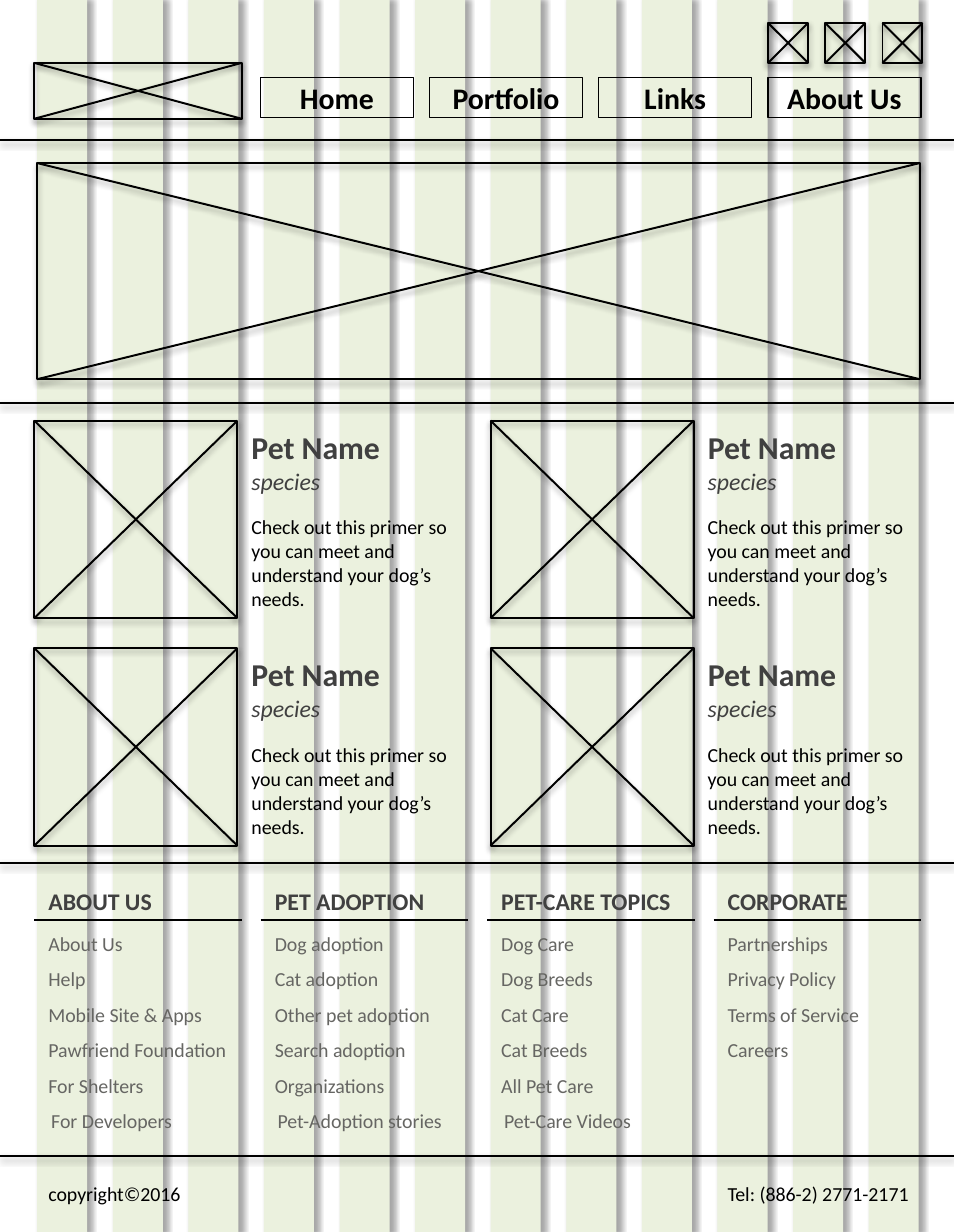
"""Build the wireframe of a pet adoption home page on a twelve-column grid."""
from lxml import etree
from pptx import Presentation
from pptx.dml.color import RGBColor
from pptx.enum import shapes as kinds, text as layout
from pptx.oxml.ns import qn
from pptx.util import Inches, Pt

NAVIGATION = ["Home", "Portfolio", "Links", "About Us"]
DESCRIPTION = "Check out this primer so you can meet and understand your dog’s needs."
CARD_TEXTS = [
    ("Pet Name", 0, 1.41, 0.37, 16, True, False),
    ("species", 0.27, 1.57, 0.3, 12, False, True),
    (DESCRIPTION, 0.61, 1.57, 0.77, 10, False, False),
]
FOOTER = {
    "ABOUT US": ["About Us", "Help", "Mobile Site & Apps", "Pawfriend Foundation",
                 "For Shelters", "For Developers"],
    "PET ADOPTION": ["Dog adoption", "Cat adoption", "Other pet adoption",
                     "Search adoption", "Organizations", "Pet-Adoption stories"],
    "PET-CARE TOPICS": ["Dog Care", "Dog Breeds", "Cat Care", "Cat Breeds",
                        "All Pet Care", "Pet-Care Videos"],
    "CORPORATE": ["Partnerships", "Privacy Policy", "Terms of Service", "Careers"],
}
BLACK = RGBColor(0, 0, 0)
DARK = RGBColor(0x40, 0x40, 0x40)
GRAY = RGBColor(0x66, 0x66, 0x63)
GREEN = RGBColor(0xEB, 0xF1, 0xDE)
FONT = "Calibri"
WIDTH, HEIGHT = 6.67, 8.61
LEFT = 0.24


def set_shadow(shape, opacity=0, distance=1.8, angle=90):
    """Give the shape a soft shadow, or none when opacity is zero."""
    effects = etree.SubElement(shape._element.spPr, qn("a:effectLst"))
    if opacity:
        shadow = etree.SubElement(
            effects, qn("a:outerShdw"), blurRad=str(Pt(3.1)), dist=str(Pt(distance)),
            dir=str(angle * 60000), rotWithShape="0")
        color = etree.SubElement(shadow, qn("a:srgbClr"), val=str(BLACK))
        etree.SubElement(color, qn("a:alpha"), val=str(opacity * 1000))


def add_line(parent, x1, y1, x2, y2, opacity=38):
    line = parent.add_connector(
        kinds.MSO_CONNECTOR.STRAIGHT, Inches(x1), Inches(y1), Inches(x2), Inches(y2))
    line.line.color.rgb = BLACK
    line.line.width = Pt(1)
    set_shadow(line, opacity, 1.6)


def add_box(parent, x, y, width, height, weight=1.0, opacity=35, fill=None, angle=90):
    box = parent.add_shape(
        kinds.MSO_SHAPE.RECTANGLE, Inches(x), Inches(y), Inches(width), Inches(height))
    if fill is None:
        box.fill.background()
        box.line.color.rgb = BLACK
        box.line.width = Pt(weight)
    else:
        box.fill.solid()
        box.fill.fore_color.rgb = fill
        box.line.fill.background()
    set_shadow(box, opacity, angle=angle)
    return box


def add_image_frame(parent, x, y, width, height):
    add_line(parent, x, y, x + width, y + height)
    add_box(parent, x, y, width, height)
    add_line(parent, x + width, y, x, y + height)


def write(shape, words, size, color=BLACK, bold=False, italic=False,
          align=layout.PP_ALIGN.LEFT, middle=False):
    frame = shape.text_frame
    frame.word_wrap = True
    frame.vertical_anchor = layout.MSO_ANCHOR.MIDDLE if middle else layout.MSO_ANCHOR.TOP
    if middle:
        frame.margin_top = frame.margin_bottom = 0
    paragraph = frame.paragraphs[0]
    paragraph.text = words
    paragraph.alignment = align
    font = paragraph.font
    font.name, font.size, font.bold, font.italic = FONT, Pt(size), bold, italic
    font.color.rgb = color


def add_text(parent, x, y, width, height, words, size, **style):
    box = parent.add_textbox(Inches(x), Inches(y), Inches(width), Inches(height))
    write(box, words, size, **style)


presentation = Presentation()
presentation.slide_width, presentation.slide_height = Inches(WIDTH), Inches(HEIGHT)
slide = presentation.slides.add_slide(presentation.slide_layouts[6])
page = slide.shapes


def new_group():
    return page.add_group_shape().shapes


stripes = new_group()
for index in range(12):
    add_box(stripes, 0.26 + index * 0.5285, 0, 0.35, HEIGHT, fill=GREEN, angle=0)

for divider in (0.98, 2.82, 6.03, 8.08):
    add_line(page, 0, divider, WIDTH, divider)

add_image_frame(new_group(), LEFT, 0.44, 1.45, 0.39)
add_image_frame(new_group(), 0.26, 1.14, 6.17, 1.51)
for index in range(3):
    add_image_frame(new_group(), 5.37 + index * 0.4, 0.16, 0.28, 0.28)

for index, label in enumerate(NAVIGATION):
    button = add_box(page, 1.82 + index * 1.183, 0.54, 1.07, 0.28, 0.75, opacity=0)
    write(button, label, 15, bold=True, align=layout.PP_ALIGN.CENTER, middle=True)

for x in (LEFT, 3.43):
    for y in (2.94, 4.53):
        card = new_group()
        add_image_frame(card, x, y, 1.42, 1.38)
        for words, offset, width, height, size, bold, italic in CARD_TEXTS:
            add_text(card, x + 1.42, y + offset, width, height, words, size, bold=bold,
                     italic=italic, color=BLACK if words == DESCRIPTION else DARK)

for index, (heading, links) in enumerate(FOOTER.items()):
    x = LEFT + index * 1.583
    column = new_group()
    add_text(column, x, 6.21, 1.45, 0.17, heading, 12, color=DARK, bold=True, middle=True)
    add_line(column, x, 6.43, x + 1.45, 6.43, opacity=0)
    for row, link in enumerate(links):
        indent = 0.02 if row == 5 else 0
        add_text(column, x + indent, 6.52 + row * 0.247, 1.45, 0.15, link, 10,
                 color=GRAY, middle=True)

add_text(page, LEFT, 8.21, 1.14, 0.27, "copyright©2016", 10)
add_text(page, 4.87, 8.21, 1.58, 0.27, "Tel: (886-2) 2771-2171", 10,
         align=layout.PP_ALIGN.RIGHT)

presentation.save("out.pptx")
